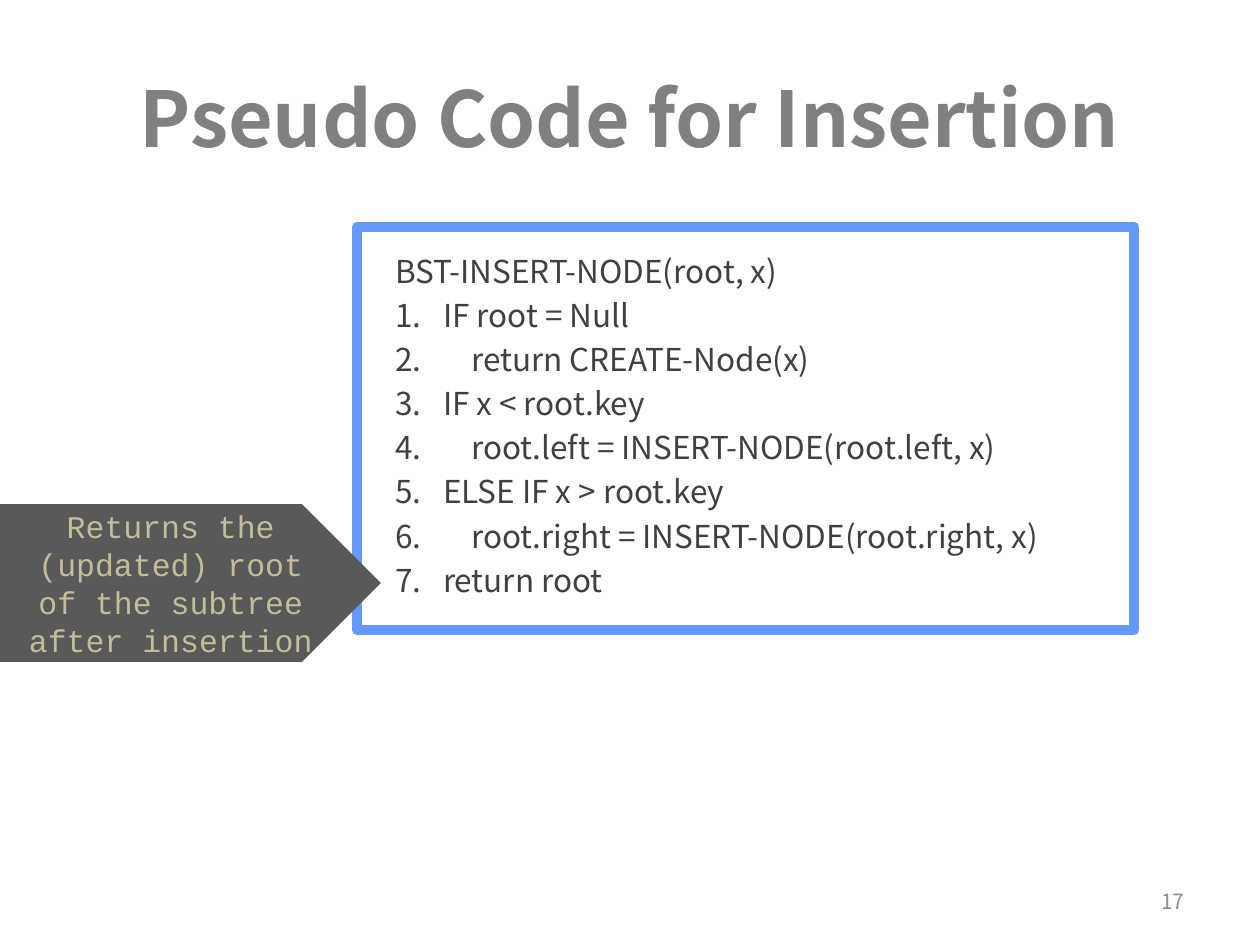
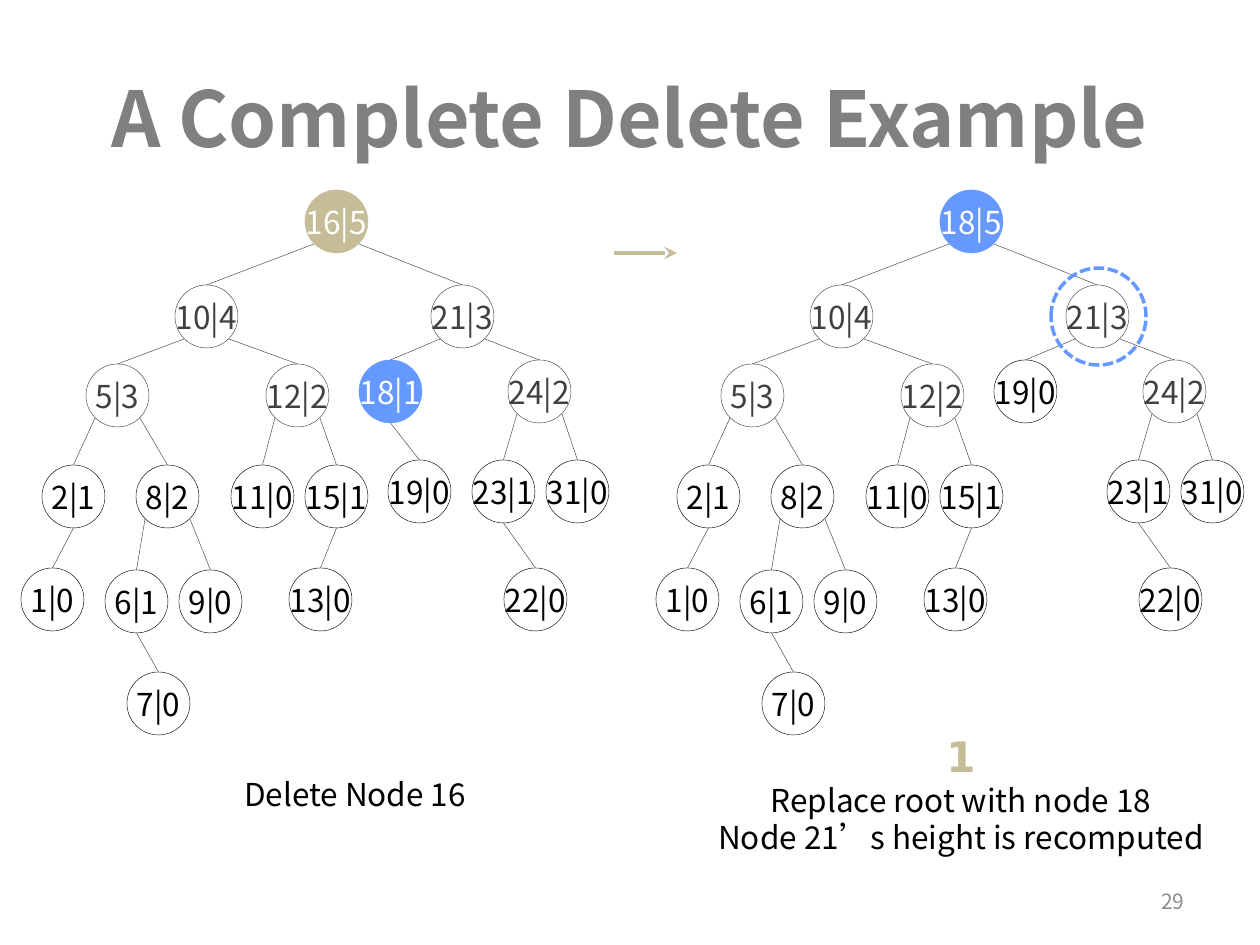
from collections import Counter

from lxml import etree
from pptx import Presentation
from pptx.dml.color import RGBColor
from pptx.enum.dml import MSO_LINE
from pptx.enum.shapes import MSO_CONNECTOR, MSO_SHAPE
from pptx.enum.text import MSO_ANCHOR, PP_ALIGN
from pptx.oxml.ns import qn
from pptx.util import Emu, Pt

LEFT, CENTER, RIGHT = PP_ALIGN.LEFT, PP_ALIGN.CENTER, PP_ALIGN.RIGHT
TOP, MIDDLE = MSO_ANCHOR.TOP, MSO_ANCHOR.MIDDLE
STRAIGHT = MSO_CONNECTOR.STRAIGHT
RECTANGLE, ELLIPSE, PENTAGON = MSO_SHAPE.RECTANGLE, MSO_SHAPE.OVAL, MSO_SHAPE.PENTAGON
SHORT_DASH = MSO_LINE.SQUARE_DOT

BODY_FONT = "Noto Sans CJK SC"
CODE_FONT = "Courier New"
STEP_FONT = "DejaVu Sans"
WHITE, BLACK = "FFFFFF", "000000"
BLUE, TAN = "6699FF", "C4BD97"
INK, SLATE, TITLE_GRAY, NUMBER_GRAY = "404040", "595959", "808080", "8C8C8C"

PAGE_SIZE = (1260, 945)
TITLE_BOX = (63, 38, 1134, 158)
NUMBER_BOX = (903, 876, 294, 50)
NODE = 63
DIAGONAL = 9

CODE_NAME = "BST-INSERT-NODE(root, x)"
CODE_STEPS = [
    "IF root = Null",
    "    return CREATE-Node(x)",
    "IF x < root.key",
    "    root.left = INSERT-NODE(root.left, x)",
    "ELSE IF x > root.key",
    "    root.right = INSERT-NODE(root.right, x)",
    "return root",
]

TREE_BEFORE = {
    "16|5": (284, 0, None),
    "10|4": (154, 95, "16|5"),
    "21|3": (410, 95, "16|5"),
    "5|3": (65, 174, "10|4"),
    "12|2": (245, 174, "10|4"),
    "18|1": (338, 170, "21|3"),
    "24|2": (487, 170, "21|3"),
    "2|1": (21, 275, "5|3"),
    "8|2": (115, 275, "5|3"),
    "11|0": (210, 275, "12|2"),
    "15|1": (284, 275, "12|2"),
    "19|0": (367, 270, "18|1"),
    "23|1": (451, 270, "24|2"),
    "31|0": (525, 270, "24|2"),
    "1|0": (0, 378, "2|1"),
    "6|1": (84, 380, "8|2"),
    "9|0": (158, 380, "8|2"),
    "13|0": (268, 378, "15|1"),
    "22|0": (483, 378, "23|1"),
    "7|0": (106, 482, "6|1"),
}
REPLACED = {"16|5": "18|5", "18|1": "19|0"}
TREE_AFTER = {
    REPLACED.get(label, label): (x, y, REPLACED.get(parent, parent))
    for label, (x, y, parent) in TREE_BEFORE.items()
    if label != "19|0"
}
NODE_FILLS = {"16|5": TAN, "18|1": BLUE, "18|5": BLUE}
GRAY_NODES = {"10|4", "21|3", "5|3", "12|2", "24|2"}


def px(length):
    return Emu(round(length * 914400 / 126))


def color(value):
    return RGBColor.from_string(value)


def add_text(shape, text, size=18, ink=BLACK, font=BODY_FONT, bold=False,
             align=LEFT, numbered=False, before=0):
    frame = shape.text_frame
    para = frame.paragraphs[0]
    if para.runs:
        para = frame.add_paragraph()
    para.alignment = align
    if before:
        para.space_before = Pt(before)
    if numbered:
        properties = para._p.get_or_add_pPr()
        properties.set("marL", str(px(48)))
        properties.set("indent", str(-px(48)))
        etree.SubElement(properties, qn("a:buFont"), typeface="+mj-lt")
        etree.SubElement(properties, qn("a:buAutoNum"), type="arabicPeriod")
    span = para.add_run()
    span.text = text
    span.font.name = font
    span.font.size = Pt(size)
    span.font.bold = bold
    span.font.color.rgb = color(ink)


def set_frame(shape, anchor, wrap=True, inset=None):
    frame = shape.text_frame
    frame.word_wrap = wrap
    frame.vertical_anchor = anchor
    if inset is not None:
        frame.margin_left = frame.margin_right = px(inset[0])
        frame.margin_top = frame.margin_bottom = px(inset[1])


def add_textbox(page, box, anchor=TOP):
    shape = page.shapes.add_textbox(*map(px, box))
    set_frame(shape, anchor)
    return shape


def add_figure(page, kind, box, fill=None, line=None, width=0.25):
    shape = page.shapes.add_shape(kind, *map(px, box))
    shape.shadow.inherit = False
    if fill:
        shape.fill.solid()
        shape.fill.fore_color.rgb = color(fill)
    else:
        shape.fill.background()
    if line:
        shape.line.color.rgb = color(line)
        shape.line.width = Pt(width)
    else:
        shape.line.fill.background()
    return shape


def add_line(page, start, end, ink=INK, width=0.25):
    line = page.shapes.add_connector(STRAIGHT, *map(px, (*start, *end)))
    line.line.color.rgb = color(ink)
    line.line.width = Pt(width)
    etree.SubElement(line._element.spPr, qn("a:effectLst"))
    return line


def add_page(deck, title, number):
    page = deck.slides.add_slide(deck.slide_layouts[6])
    heading = add_textbox(page, TITLE_BOX, MIDDLE)
    add_text(heading, title, size=44, ink=TITLE_GRAY, bold=True, align=CENTER)
    footer = add_textbox(page, NUMBER_BOX, MIDDLE)
    add_text(footer, number, size=12, ink=NUMBER_GRAY, align=RIGHT)
    return page


def add_code(page, box):
    panel = add_figure(page, RECTANGLE, box, fill=WHITE, line=BLUE, width=6)
    set_frame(panel, TOP, inset=(38, 25))
    add_text(panel, CODE_NAME, ink=INK)
    for step in CODE_STEPS:
        add_text(panel, step, ink=INK, numbered=True, before=3.6)


def add_callout(page, box, text):
    callout = add_figure(page, PENTAGON, box, fill=SLATE)
    set_frame(callout, MIDDLE)
    add_text(callout, text, ink=TAN, font=CODE_FONT, align=CENTER)


def add_node(page, label, box):
    fill = NODE_FILLS.get(label)
    ink = INK if label in GRAY_NODES else BLACK
    node = add_figure(page, ELLIPSE, box, fill=fill, line=fill or ink)
    set_frame(node, MIDDLE, wrap=False, inset=(0, 0))
    add_text(node, label, ink=WHITE if fill else ink, align=CENTER)
    return node


def add_tree(page, origin, tree):
    left, top = origin
    children = Counter(parent for _, _, parent in tree.values())
    for label, (x, y, parent) in tree.items():
        node = add_node(page, label, (left + x, top + y, NODE, NODE))
        if parent is None:
            continue
        parent_x, parent_y, _ = tree[parent]
        if children[parent] == 1:
            joint_x, joint_y = NODE / 2, NODE
        else:
            joint_x = DIAGONAL if x < parent_x else NODE - DIAGONAL
            joint_y = NODE - DIAGONAL
        joint = (left + parent_x + joint_x, top + parent_y + joint_y)
        edge = add_line(page, (left + x + NODE / 2, top + y), joint)
        edge.begin_connect(node, 0)


def add_ring(page, origin, node):
    x, y, _ = node
    box = (origin[0] + x - 15, origin[1] + y - 17, 95, 97)
    ring = add_figure(page, ELLIPSE, box, line=BLUE, width=2)
    ring.line.dash_style = SHORT_DASH


def add_step_arrow(page, start, length):
    end = (start[0] + length, start[1])
    arrow = add_line(page, start, end, ink=TAN, width=2.5)
    etree.SubElement(arrow.line._get_or_add_ln(), qn("a:tailEnd"), type="stealth")


def add_caption(page, box, lines, step=None):
    caption = add_textbox(page, box)
    if step:
        add_text(caption, step, size=24, ink=TAN, font=STEP_FONT, bold=True, align=CENTER)
    for line in lines:
        add_text(caption, line, align=CENTER)


def build_insertion(deck):
    page = add_page(deck, "Pseudo Code for Insertion", "17")
    add_code(page, (357, 227, 777, 403))
    add_callout(page, (0, 504, 381, 158),
                "Returns the (updated) root of the subtree after insertion")


def build_deletion(deck):
    page = add_page(deck, "A Complete Delete Example", "29")
    before, after = (21, 190), (656, 190)
    add_tree(page, before, TREE_BEFORE)
    add_caption(page, (225, 769, 260, 50), ["Delete Node 16"])
    add_step_arrow(page, (614, 253), 63)
    add_tree(page, after, TREE_AFTER)
    add_ring(page, after, TREE_AFTER["21|3"])
    add_caption(page, (693, 724, 536, 140),
                ["Replace root with node 18", "Node 21’s height is recomputed"], step="1")


def main():
    deck = Presentation()
    deck.slide_width, deck.slide_height = map(px, PAGE_SIZE)
    build_insertion(deck)
    build_deletion(deck)
    deck.save("out.pptx")


if __name__ == "__main__":
    main()
